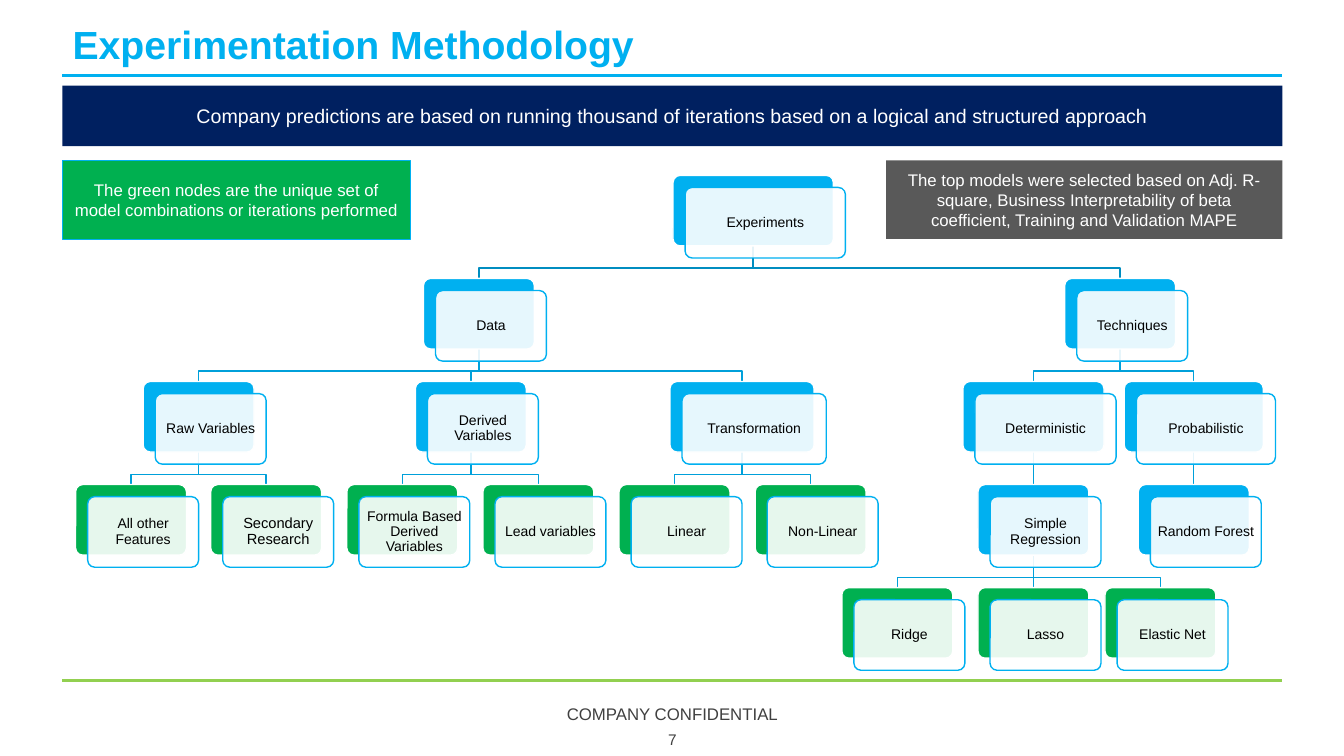
from dataclasses import dataclass

from lxml.etree import SubElement
from pptx import Presentation
from pptx.dml.color import RGBColor
from pptx.enum.shapes import MSO_CONNECTOR as Connector, MSO_SHAPE as Shape
from pptx.enum.text import MSO_ANCHOR as Anchor, MSO_AUTO_SIZE as AutoSize, PP_ALIGN as Align
from pptx.oxml.ns import qn
from pptx.util import Inches, Pt

FONT = "Arial"
BLUE, GREEN, NAVY, GREY = "00B0F0", "00B050", "002060", "595959"
WHITE, BLACK, FOOTER_GREY = "FFFFFF", "000000", "404040"
LINK_BLUE, ROOT_LINK_BLUE = "00A0DA", "008DC0"
LEFT, RIGHT = 0.62, 12.72
TREE_TOP, LAST_LEVEL_TOP, LAST_LEVEL = 1.74, 5.83, 4
CARD_HEIGHT, CARD_OFFSET, ELBOW_DROP = 0.7, 0.12, 0.22


@dataclass
class Node:
    """One card of the tree, with the centre of its back plate."""
    label: str
    centre: float
    children: tuple = ()
    width: float = 1.1
    color: str = BLUE
    size: float = 10


def leaf(label, centre, size=10):
    """Return a green end node."""
    return Node(label, centre, color=GREEN, size=size)


DATA = Node("Data", 4.75, (
    Node("Raw Variables", 1.97, (
        leaf("All other Features", 1.3), leaf("Secondary Research", 2.64, 10.5))),
    Node("Derived Variables", 4.67, (
        leaf("Formula Based Derived Variables", 3.99), leaf("Lead variables", 5.34))),
    Node("Transformation", 7.36, (
        leaf("Linear", 6.69), leaf("Non-Linear", 8.04)), 1.43),
))
TECHNIQUES = Node("Techniques", 11.11, (
    Node("Deterministic", 10.25, (
        Node("Simple Regression", 10.25, (
            leaf("Ridge", 8.9), leaf("Lasso", 10.25), leaf("Elastic Net", 11.51))),
    ), 1.4),
    Node("Probabilistic", 11.84, (Node("Random Forest", 11.84),), 1.38),
))
EXPERIMENTS = Node("Experiments", 7.47, (DATA, TECHNIQUES), 1.59)


def rgb(color):
    """Turn a hex string into a colour."""
    return RGBColor.from_string(color)


def write(shape, text, size, color, align=Align.CENTER, anchor=Anchor.MIDDLE,
          bold=False, spacing=None, inset=None):
    """Put one formatted run into a shape."""
    frame = shape.text_frame
    frame.word_wrap = True
    frame.auto_size = AutoSize.NONE
    frame.vertical_anchor = anchor
    if inset is not None:
        frame.margin_left = frame.margin_right = Inches(inset)
        frame.margin_top = frame.margin_bottom = Inches(inset)
    para = frame.paragraphs[0]
    para.alignment = align
    para.line_spacing = spacing
    span = para.add_run()
    span.text = text
    span.font.name = FONT
    span.font.size = Pt(size)
    span.font.bold = bold
    span.font.color.rgb = rgb(color)


def add_panel(page, box, fill, line=None, weight=1, kind=Shape.RECTANGLE):
    """Add a flat filled shape."""
    panel = page.shapes.add_shape(kind, *map(Inches, box))
    panel.shadow.inherit = False
    panel.fill.solid()
    panel.fill.fore_color.rgb = rgb(fill)
    if line:
        panel.line.color.rgb = rgb(line)
        panel.line.width = Pt(weight)
    else:
        panel.line.fill.background()
    return panel


def add_line(page, start, end, color, weight):
    """Add a straight line without a shadow."""
    line = page.shapes.add_connector(
        Connector.STRAIGHT, *map(Inches, (*start, *end)))
    line.line.color.rgb = rgb(color)
    line.line.width = Pt(weight)
    SubElement(line._element.spPr, qn("a:effectLst"))


def add_elbow(page, start, end, color):
    """Add a stepped line from a parent down to a child."""
    bend = start[1] + ELBOW_DROP
    points = [start, (start[0], bend), (end[0], bend), end]
    first, *rest = [(Inches(x), Inches(y)) for x, y in points]
    builder = page.shapes.build_freeform(*first)
    builder.add_line_segments(rest, close=False)
    elbow = builder.convert_to_shape()
    elbow.shadow.inherit = False
    elbow.fill.background()
    elbow.line.color.rgb = rgb(color)
    elbow.line.width = Pt(1)


def level_top(level):
    """Return the top of the cards on a level."""
    return TREE_TOP + (LAST_LEVEL_TOP - TREE_TOP) * level / LAST_LEVEL


def add_links(page, node, level=0):
    """Draw the lines below a node and its descendants."""
    color = LINK_BLUE if level else ROOT_LINK_BLUE
    start = (node.centre, level_top(level) + CARD_HEIGHT)
    for child in node.children:
        end = (child.centre, level_top(level + 1))
        if child.centre == node.centre:
            add_line(page, start, end, color, 1)
        else:
            add_elbow(page, start, end, color)
        add_links(page, child, level + 1)


def add_card(page, node, left, top):
    """Draw a coloured back plate and its translucent label plate."""
    size = (node.width, CARD_HEIGHT)
    back = add_panel(page, (left, top, *size), node.color, WHITE,
                     kind=Shape.ROUNDED_RECTANGLE)
    front = add_panel(page, (left + CARD_OFFSET, top + CARD_OFFSET, *size),
                      WHITE, BLUE, kind=Shape.ROUNDED_RECTANGLE)
    for plate in (back, front):
        plate.adjustments[0] = 0.1
    fill = front._element.spPr.find(qn("a:solidFill"))
    SubElement(fill[0], qn("a:alpha"), val="90000")
    write(front, node.label, node.size, BLACK, spacing=0.9, inset=0.04)


def add_cards(page, node, level=0):
    """Draw the card of a node and of its descendants."""
    add_card(page, node, node.centre - node.width / 2, level_top(level))
    for child in node.children:
        add_cards(page, child, level + 1)


def add_header(page, box):
    """Place the title, its rule and the navy banner."""
    left, top, width, height = box
    title = page.shapes.title
    title.left, title.top = Inches(left), Inches(top)
    title.width, title.height = Inches(11.74), Inches(0.6)
    write(title, "Experimentation Methodology", 28, BLUE, Align.LEFT,
          Anchor.BOTTOM, bold=True, spacing=0.9)
    rule = top + 0.63
    add_line(page, (left, rule), (left + width, rule), BLUE, 2.25)
    banner = add_panel(page, (left, top + height - 0.6, width, 0.6), NAVY)
    write(banner, "Company predictions are based on running thousand of iterations "
          "based on a logical and structured approach", 14, WHITE)


def add_notes(page, box):
    """Place the green and grey notes at the two ends of the box."""
    left, top, width, height = box
    green = add_panel(page, (left, top, 3.45, height), GREEN, BLUE, 0.25)
    write(green, "The green nodes are the unique set of model combinations "
          "or iterations performed", 12, WHITE)
    grey = add_panel(page, (left + width - 3.93, top, 3.93, height), GREY)
    write(grey, "The top models were selected based on Adj. R-square, Business "
          "Interpretability of beta coefficient, Training and Validation MAPE", 12, WHITE)


def add_footer(page, box):
    """Place the green rule, the footer text and the page number."""
    left, top, width, height = box
    add_line(page, (left, top), (left + width, top), "92D050", 2.25)
    middle = left + width / 2
    for text, size, wide, high, drop in (
            ("COMPANY CONFIDENTIAL", 12, 4.5, 0.3, 0.18),
            ("7", 11, 1.09, 0.25, height - 0.25)):
        label = page.shapes.add_textbox(
            *map(Inches, (middle - wide / 2, top + drop, wide, high)))
        write(label, text, size, FOOTER_GREY)


def main():
    """Build the slide and save it."""
    deck = Presentation()
    deck.slide_width, deck.slide_height = Inches(13.33), Inches(7.5)
    page = deck.slides.add_slide(deck.slide_layouts[5])
    width = RIGHT - LEFT
    add_header(page, (LEFT, 0.12, width, 1.33))
    add_links(page, EXPERIMENTS)
    add_cards(page, EXPERIMENTS)
    add_notes(page, (LEFT, 1.59, width, 0.78))
    add_footer(page, (LEFT, 6.75, width, 0.71))
    deck.save("out.pptx")


if __name__ == "__main__":
    main()
